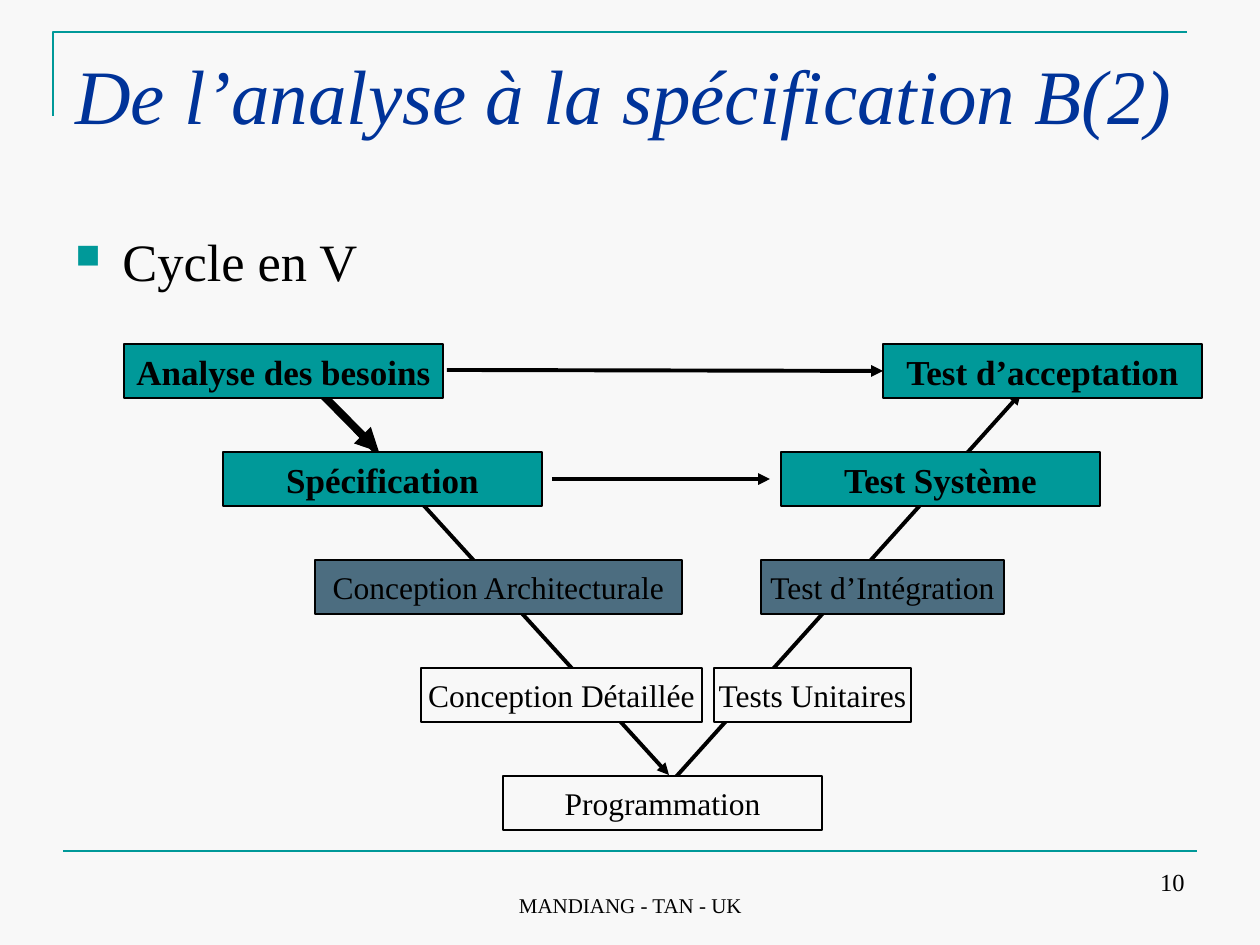
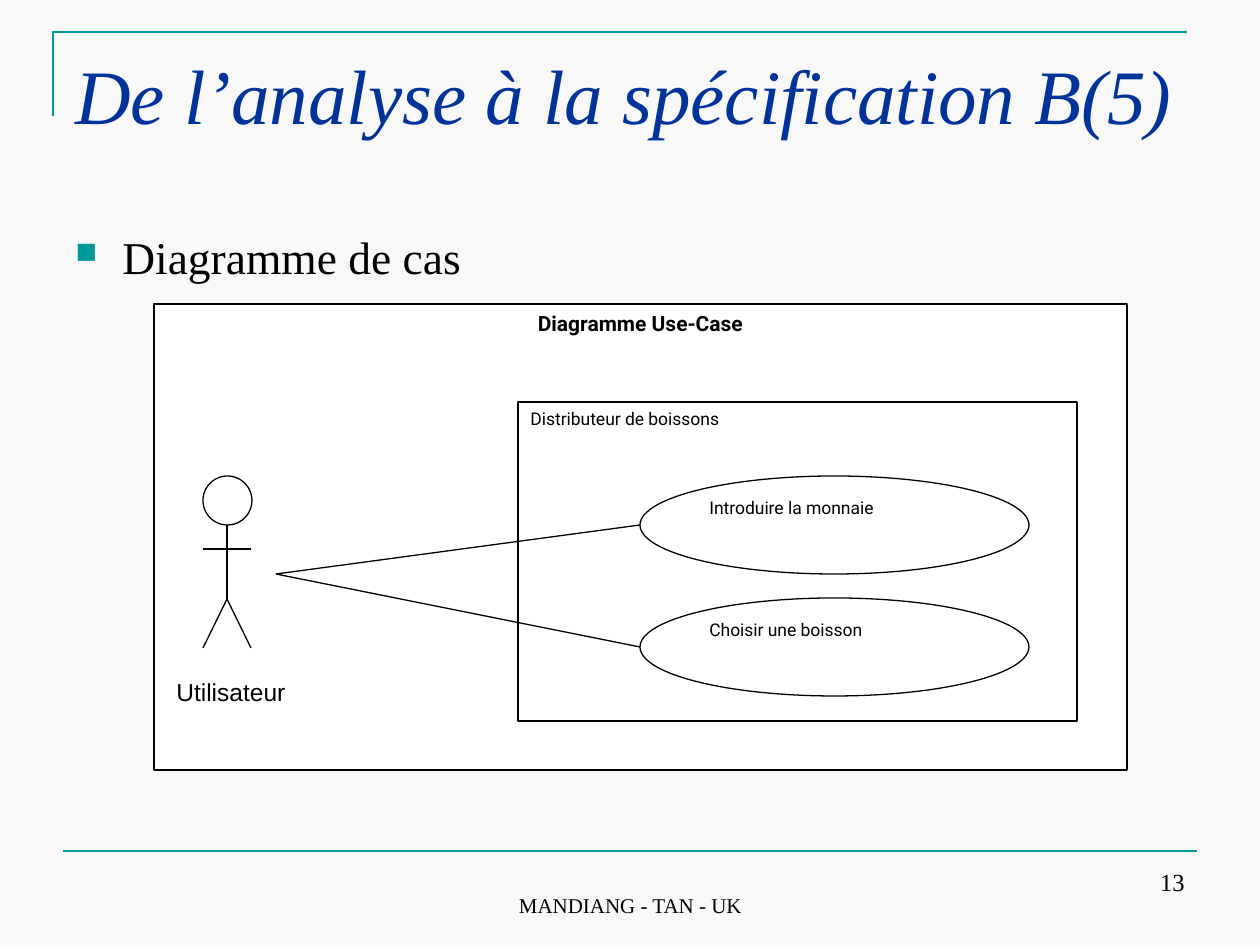
"""Build two slides: the V cycle and a use-case diagram."""
from lxml.etree import SubElement
from pptx import Presentation
from pptx.dml.color import RGBColor
from pptx.enum.shapes import MSO_CONNECTOR, MSO_SHAPE
from pptx.enum.text import MSO_ANCHOR, PP_ALIGN
from pptx.oxml.ns import qn
from pptx.util import Pt

TEAL = RGBColor(0x00, 0x99, 0x99)
NAVY = RGBColor(0x00, 0x33, 0x99)
SLATE = RGBColor(0x4C, 0x6D, 0x80)
PALE = RGBColor(0xF8, 0xF8, 0xF8)
WHITE = RGBColor(0xFF, 0xFF, 0xFF)
BLACK = RGBColor(0x00, 0x00, 0x00)
SERIF, SANS, ARIAL = "Times New Roman", "Roboto", "Arial"

TITLE = "De l’analyse à la spécification B({})"
FOOTER = "MANDIANG - TAN - UK"
TOP, STEP, HIGH = 344, 108, 54
LEVELS = [
    (TEAL, 20, True, [("Analyse des besoins", 124, 319), ("Test d’acceptation", 883, 319)]),
    (TEAL, 20, True, [("Spécification", 223, 319), ("Test Système", 781, 319)]),
    (SLATE, 18, False, [("Conception Architecturale", 315, 367), ("Test d’Intégration", 761, 243)]),
    (PALE, 18, False, [("Conception Détaillée", 421, 281), ("Tests Unitaires", 714, 197)]),
    (PALE, 18, False, [("Programmation", 503, 319)]),
]
SLOPES = [
    ((285, 353, 669, 775), 2.25),
    ((639, 818, 1021, 393), 2.25),
    ((307, 379, 379, 452), 4.5),
]
CASES = ["Introduire la monnaie", "Choisir une boisson"]
CASE_X, CASE_Y, CASE_W, CASE_H, CASE_STEP = 640, 476, 389, 98, 122
HAND = (276, 574)
LIMBS = [
    (227, 525, 227, 599),
    (203, 549, 251, 549),
    (227, 599, 203, 648),
    (227, 599, 251, 648),
]


def px(num):
    return round(num * 914400 / 126)


def write(shape, text, size=18, font=SERIF, color=BLACK, bold=False, italic=False,
          align=PP_ALIGN.LEFT, anchor=MSO_ANCHOR.TOP, wrap=True, bullet=False):
    frame = shape.text_frame
    frame.word_wrap = wrap
    frame.vertical_anchor = anchor
    para = frame.paragraphs[0]
    para.alignment = align
    if bullet:
        props = para._p.get_or_add_pPr()
        props.set("marL", str(px(47)))
        props.set("indent", str(px(-47)))
        tint = SubElement(props, qn("a:buClr"))
        SubElement(tint, qn("a:srgbClr"), val=str(TEAL))
        SubElement(props, qn("a:buSzPct"), val="65000")
        SubElement(props, qn("a:buChar"), char="■")
    run = para.add_run()
    run.text = text
    run.font.size = Pt(size)
    run.font.name = font
    run.font.color.rgb = color
    run.font.bold = bold
    run.font.italic = italic


def label(slide, text, at, **style):
    write(slide.shapes.add_textbox(*map(px, at)), text, **style)


def shape(slide, at, fill, kind=MSO_SHAPE.RECTANGLE):
    item = slide.shapes.add_shape(kind, *map(px, at))
    item.shadow.inherit = False
    item.fill.solid()
    item.fill.fore_color.rgb = fill
    item.line.color.rgb = BLACK
    item.line.width = Pt(0.75)
    return item


def line(slide, ends, width=0.75, color=BLACK, arrow=False):
    link = slide.shapes.add_connector(MSO_CONNECTOR.STRAIGHT, *map(px, ends))
    link.line.color.rgb = color
    link.line.width = Pt(width)
    if arrow:
        SubElement(link.line._get_or_add_ln(), qn("a:tailEnd"), type="triangle")
    SubElement(link._element.spPr, qn("a:effectLst"))
    return link


def start(deck, part, page, topic, size):
    slide = deck.slides.add_slide(deck.slide_layouts[6])
    slide.background.fill.solid()
    slide.background.fill.fore_color.rgb = PALE
    pen = slide.shapes.build_freeform(px(53), px(116), scale=1.0)
    pen.add_line_segments([(px(53), px(32)), (px(1187), px(32))], close=False)
    edge = pen.convert_to_shape()
    edge.shadow.inherit = False
    edge.fill.background()
    edge.line.color.rgb = TEAL
    edge.line.width = Pt(1.5)
    line(slide, (63, 851, 1197, 851), 1.5, TEAL)
    label(slide, TITLE.format(part), (63, 41, 1134, 158), size=44, color=NAVY, italic=True)
    label(slide, topic, (63, 223, 1134, 624), size=size, bullet=True)
    label(slide, FOOTER, (431, 861, 399, 63), size=12,
          align=PP_ALIGN.CENTER, anchor=MSO_ANCHOR.BOTTOM)
    label(slide, str(page), (903, 861, 294, 65), size=14, align=PP_ALIGN.RIGHT)
    return slide


def cycle(deck):
    slide = start(deck, 2, 10, "Cycle en V", 30)
    for ends, width in SLOPES:
        line(slide, ends, width, arrow=True)
    boxes = {}
    for row, (fill, size, bold, items) in enumerate(LEVELS):
        for text, left, wide in items:
            box = shape(slide, (left, TOP + row * STEP, wide, HIGH), fill)
            write(box, text, size=size, bold=bold, wrap=False,
                  align=PP_ALIGN.CENTER, anchor=MSO_ANCHOR.MIDDLE)
            boxes[text] = box
    link = line(slide, (447, 370, 883, 371), 2.25, arrow=True)
    link.end_connect(boxes["Test d’acceptation"], 1)
    line(slide, (552, 479, 770, 479), 2.25, arrow=True)


def usage(deck):
    slide = start(deck, 5, 13, "Diagramme de cas", 26)
    panel = shape(slide, (154, 304, 973, 466), WHITE)
    write(panel, "Diagramme Use-Case", size=12, font=SANS, bold=True, align=PP_ALIGN.CENTER)
    system = shape(slide, (518, 402, 559, 319), WHITE)
    write(system, "Distributeur de boissons", size=10, font=SANS)
    for row, text in enumerate(CASES):
        top = CASE_Y + row * CASE_STEP
        oval = shape(slide, (CASE_X, top, CASE_W, CASE_H), WHITE, MSO_SHAPE.OVAL)
        write(oval, text, size=10, font=SANS)
        line(slide, (*HAND, CASE_X, top + CASE_H / 2))
    shape(slide, (203, 476, 49, 49), WHITE, MSO_SHAPE.OVAL)
    for ends in LIMBS:
        line(slide, ends)
    label(slide, "Utilisateur", (164, 671, 179, 87), size=14, font=ARIAL)


def main():
    deck = Presentation()
    deck.slide_width, deck.slide_height = px(1260), px(945)
    cycle(deck)
    usage(deck)
    deck.save("out.pptx")


if __name__ == "__main__":
    main()
